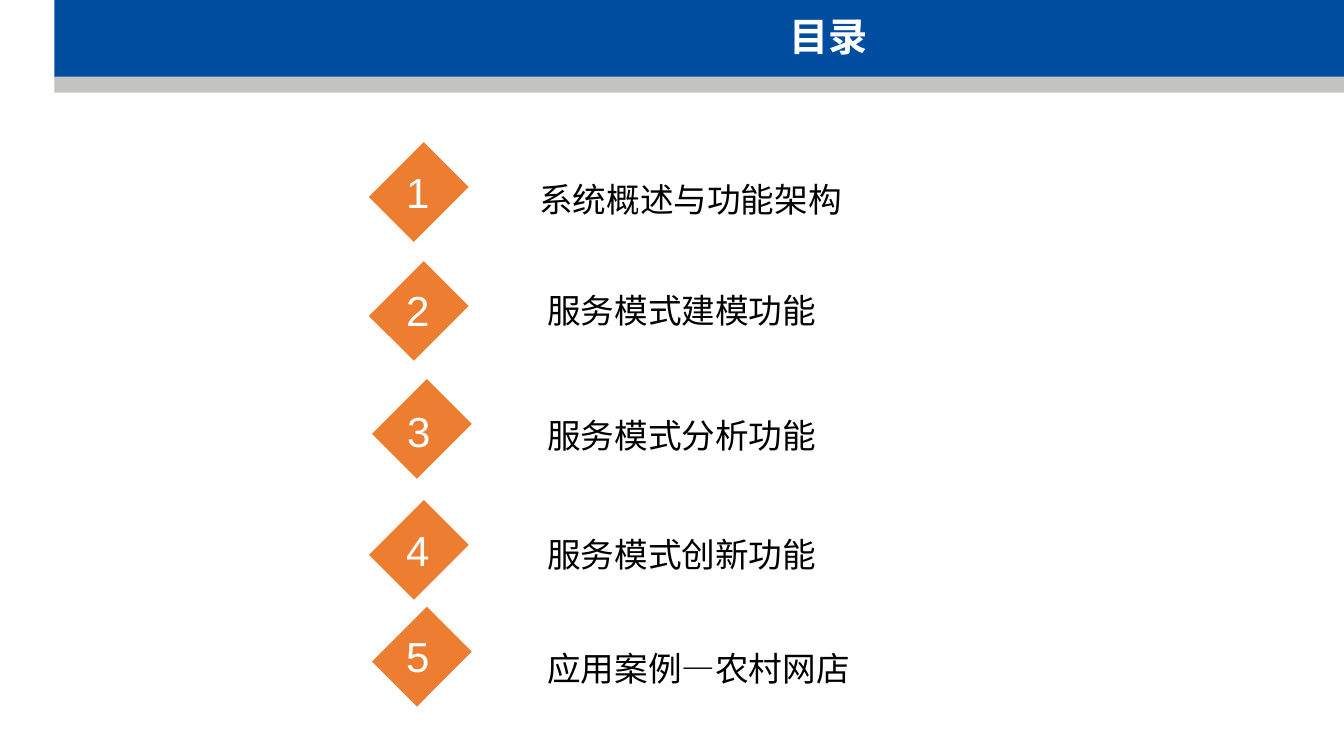
from pptx import Presentation
from pptx.dml.color import RGBColor
from pptx.enum.shapes import MSO_SHAPE
from pptx.enum.text import MSO_ANCHOR, PP_ALIGN
from pptx.oxml.ns import qn
from pptx.util import Pt
from lxml.etree import SubElement

EMU_PER_PX = 9144  # 100 px to the inch
BLUE = RGBColor(0x01, 0x4D, 0xA0)
GRAY = RGBColor(0xC3, 0xC3, 0xC0)
ORANGE = RGBColor(0xED, 0x7D, 0x31)
WHITE = RGBColor(0xFF, 0xFF, 0xFF)
BLACK = RGBColor(0x00, 0x00, 0x00)
LATIN_FONT = "Arial"
CHINESE_FONT = "Noto Sans CJK SC"

# text, diamond left and top, number left and top, label left and top
CONTENTS = [
    ("系统概述与功能架构", (377, 159), (376, 160), (525, 173)),
    ("服务模式建模功能", (377, 277), (376, 277), (533, 283)),
    ("服务模式分析功能", (380, 394), (377, 397), (533, 407)),
    ("服务模式创新功能", (377, 514), (376, 515), (533, 525)),
    ("应用案例—农村网店", (380, 620), (376, 621), (533, 638)),
]


def px(*lengths):
    return [length * EMU_PER_PX for length in lengths]


class Page:
    def __init__(self, deck):
        self.slide = deck.slides.add_slide(deck.slide_layouts[6])

    def block(self, left, top, width, height, color, rotation=0):
        shape = self.slide.shapes.add_shape(
            MSO_SHAPE.RECTANGLE, *px(left, top, width, height))
        shape.shadow.inherit = False
        shape.fill.solid()
        shape.fill.fore_color.rgb = color
        shape.line.fill.background()
        shape.rotation = rotation

    def text(self, text, left, top, width, height, size, color=BLACK,
             font=LATIN_FONT, bold=False, align=PP_ALIGN.LEFT,
             anchor=MSO_ANCHOR.TOP, line_spacing=1.0):
        box = self.slide.shapes.add_textbox(*px(left, top, width, height))
        frame = box.text_frame
        frame.word_wrap = True
        frame.vertical_anchor = anchor
        para = frame.paragraphs[0]
        para.alignment = align
        para.line_spacing = line_spacing
        span = para.add_run()
        span.text = text
        span.font.size = Pt(size)
        span.font.bold = bold
        span.font.color.rgb = color
        span.font.name = font
        east_asian = SubElement(span.font._element, qn("a:ea"))
        east_asian.set("typeface", CHINESE_FONT)


def main():
    deck = Presentation()
    deck.slide_width, deck.slide_height = px(1333, 750)
    page = Page(deck)

    page.block(54, 0, 1279, 77, BLUE)
    page.block(54, 76, 1279, 16, GRAY)
    page.text("目录", 311, 12, 1022, 53, size=28, color=WHITE,
              font=CHINESE_FONT, bold=True, align=PP_ALIGN.CENTER,
              anchor=MSO_ANCHOR.MIDDLE, line_spacing=0.9)

    for number, (label, diamond, digit, label_at) in enumerate(CONTENTS, 1):
        page.block(*diamond, 77, 63, ORANGE, rotation=315)
        page.text(str(number), *digit, 77, 61, size=30, color=WHITE,
                  align=PP_ALIGN.CENTER)
        page.text(label, *label_at, 800, 50, size=24)

    deck.save("out.pptx")


if __name__ == "__main__":
    main()
